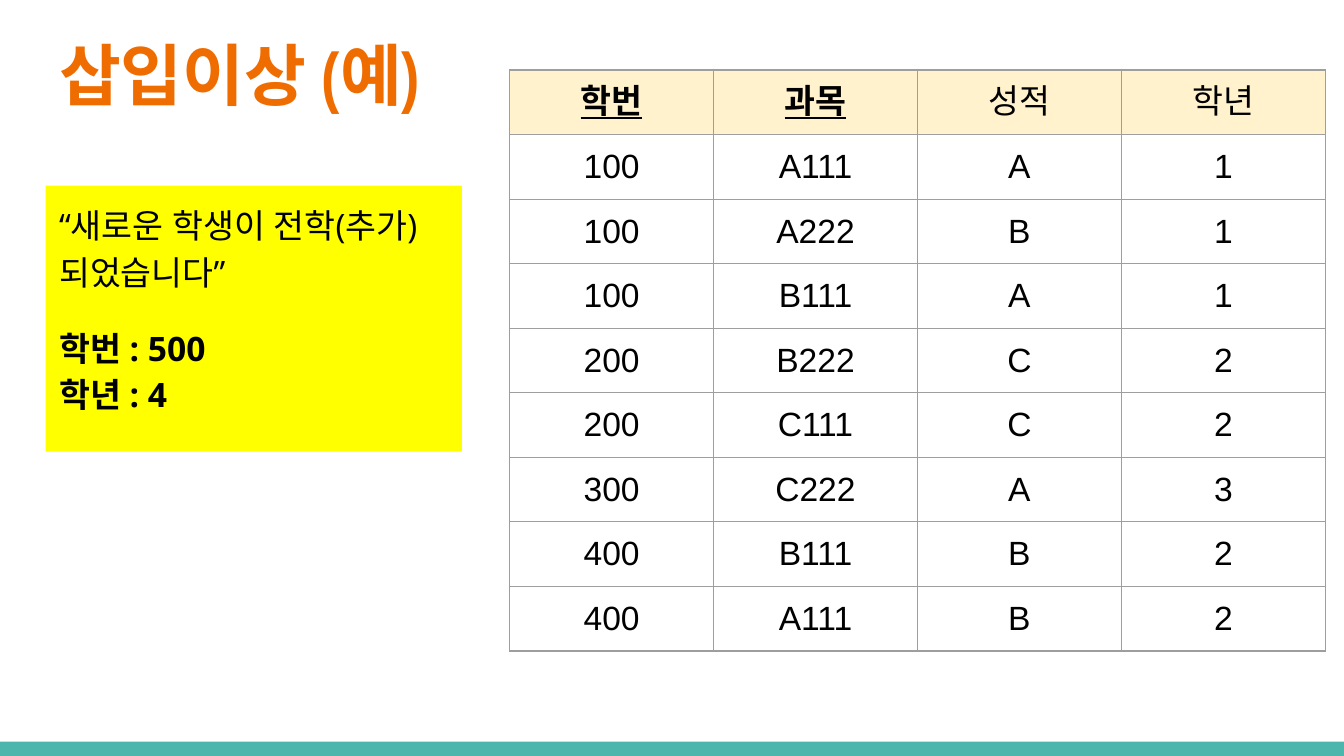
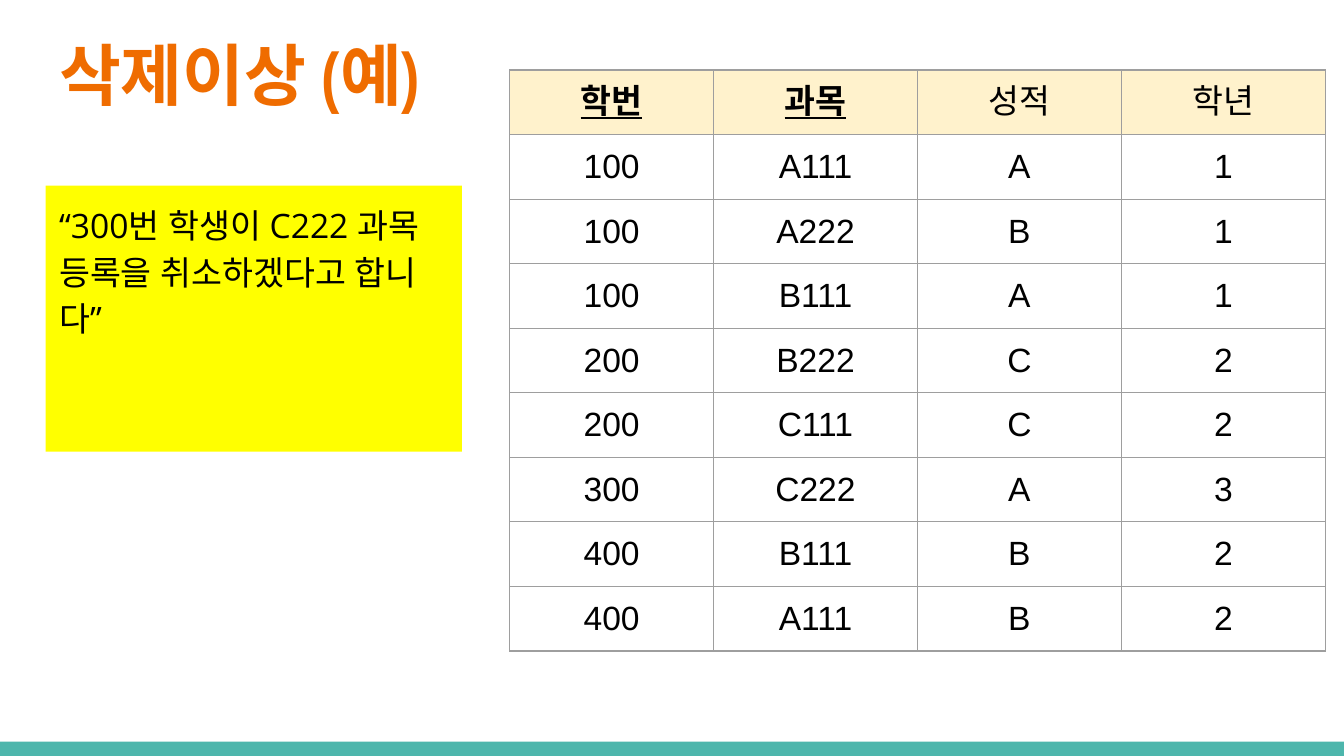
import pptx
import pptx.util
import pptx.dml.color
import pptx.enum.shapes
import pptx.enum.text
import lxml.etree
from pptx.oxml.ns import qn

Pt = pptx.util.Pt
RGBColor = pptx.dml.color.RGBColor
PP_ALIGN = pptx.enum.text.PP_ALIGN
ANCHOR = pptx.enum.text.MSO_ANCHOR

TEAL = RGBColor(0x4D, 0xB6, 0xAC)
ORANGE = RGBColor(0xEF, 0x6C, 0x00)
YELLOW = RGBColor(0xFF, 0xFF, 0x00)
CREAM = RGBColor(0xFF, 0xF2, 0xCC)
GREY = RGBColor(0x9E, 0x9E, 0x9E)
BLACK = RGBColor(0x00, 0x00, 0x00)

INSET = Pt(7.2)
COLUMN_WIDTH = 109.25
ROW_HEIGHT = 30.25

GRADES = [
    ("학번", "과목", "성적", "학년"),
    ("100", "A111", "A", "1"),
    ("100", "A222", "B", "1"),
    ("100", "B111", "A", "1"),
    ("200", "B222", "C", "2"),
    ("200", "C111", "C", "2"),
    ("300", "C222", "A", "3"),
    ("400", "B111", "B", "2"),
    ("400", "A111", "B", "2"),
]
KEY_COLUMNS = ("학번", "과목")

ANOMALIES = [
    ("삽입이상 (예)", "“새로운 학생이 전학(추가) 되었습니다”",
     ["학번 : 500", "학년 : 4"]),
    ("삭제이상 (예)", "“300번 학생이 C222 과목 등록을 취소하겠다고 합니다”", []),
]


def write(paragraph, text, typeface, size, color, bold=False):
    run = paragraph.add_run()
    run.text = text
    run.font.name = typeface
    run.font.size = Pt(size)
    run.font.bold = bold
    run.font.color.rgb = color
    east_asian = lxml.etree.SubElement(run.font._element, qn("a:ea"))
    east_asian.set("typeface", typeface)
    return run


def arrange(placeholder, left, top, width, height):
    placeholder.left, placeholder.top = Pt(left), Pt(top)
    placeholder.width, placeholder.height = Pt(width), Pt(height)
    frame = placeholder.text_frame
    frame.margin_left = frame.margin_right = INSET
    frame.margin_top = frame.margin_bottom = INSET
    frame.vertical_anchor = ANCHOR.TOP
    frame.word_wrap = True
    frame.auto_size = pptx.enum.text.MSO_AUTO_SIZE.NONE
    return frame


deck = pptx.Presentation()
deck.slide_width = Pt(720)
deck.slide_height = Pt(405)

for number, (heading, request, new_student) in enumerate(ANOMALIES):
    slide = deck.slides.add_slide(deck.slide_layouts[1])

    if number == 0:
        band = slide.shapes.add_shape(
            pptx.enum.shapes.MSO_SHAPE.RECTANGLE, 0, Pt(397.4), Pt(720), Pt(7.6))
        band.shadow.inherit = False
        band.fill.solid()
        band.fill.fore_color.rgb = TEAL
        band.line.fill.background()
        band.element.nvSpPr.cNvPr.set("id", "20")
        deck.slide_master.shapes.element.insert(2, band.element)

    title = arrange(slide.shapes.title, 24.5, 10.8, 255.5, 55.4).paragraphs[0]
    title.alignment = PP_ALIGN.LEFT
    write(title, heading, "Arial Narrow", 36, ORANGE, bold=True)

    scenario = slide.placeholders[1]
    scenario.fill.solid()
    scenario.fill.fore_color.rgb = YELLOW
    story = arrange(scenario, 24.5, 99.5, 223, 142.5)
    quote = story.paragraphs[0]
    write(quote, request, "Open Sans", 18, BLACK)
    quote.space_after = Pt(0 if new_student else 16)
    if new_student:
        details = story.add_paragraph()
        for position, fact in enumerate(new_student):
            if position:
                details.add_line_break()
            write(details, fact, "Open Sans", 18, BLACK, bold=True)
        details.space_after = Pt(16)
    for position, paragraph in enumerate(story.paragraphs):
        paragraph.alignment = PP_ALIGN.LEFT
        paragraph.line_spacing = 1.15
        paragraph.space_before = Pt(16 * position)
        properties = paragraph._p.get_or_add_pPr()
        properties.set("marL", "0")
        properties.set("indent", "0")
        lxml.etree.SubElement(properties, qn("a:buNone"))

    grades = slide.shapes.add_table(
        len(GRADES), len(GRADES[0]), Pt(273), Pt(37.5),
        Pt(COLUMN_WIDTH * len(GRADES[0])), Pt(ROW_HEIGHT * len(GRADES))).table
    grades.first_row = False
    grades.horz_banding = False
    for row, record in enumerate(GRADES):
        for column, value in enumerate(record):
            cell = grades.cell(row, column)
            cell.margin_left = cell.margin_right = INSET
            cell.margin_top = cell.margin_bottom = INSET
            cell.vertical_anchor = ANCHOR.MIDDLE
            borders = cell._tc.get_or_add_tcPr()
            for side in ("a:lnL", "a:lnR", "a:lnT", "a:lnB"):
                edge = lxml.etree.SubElement(borders, qn(side), w=str(Pt(0.75)))
                ink = lxml.etree.SubElement(edge, qn("a:solidFill"))
                lxml.etree.SubElement(ink, qn("a:srgbClr"), val=str(GREY))
            if row == 0:
                cell.fill.solid()
                cell.fill.fore_color.rgb = CREAM
            else:
                cell.fill.background()
            entry = cell.text_frame.paragraphs[0]
            entry.alignment = PP_ALIGN.CENTER
            is_key = value in KEY_COLUMNS
            label = write(entry, value, "Arial", 18, BLACK, bold=is_key)
            label.font.underline = is_key

deck.save("out.pptx")
